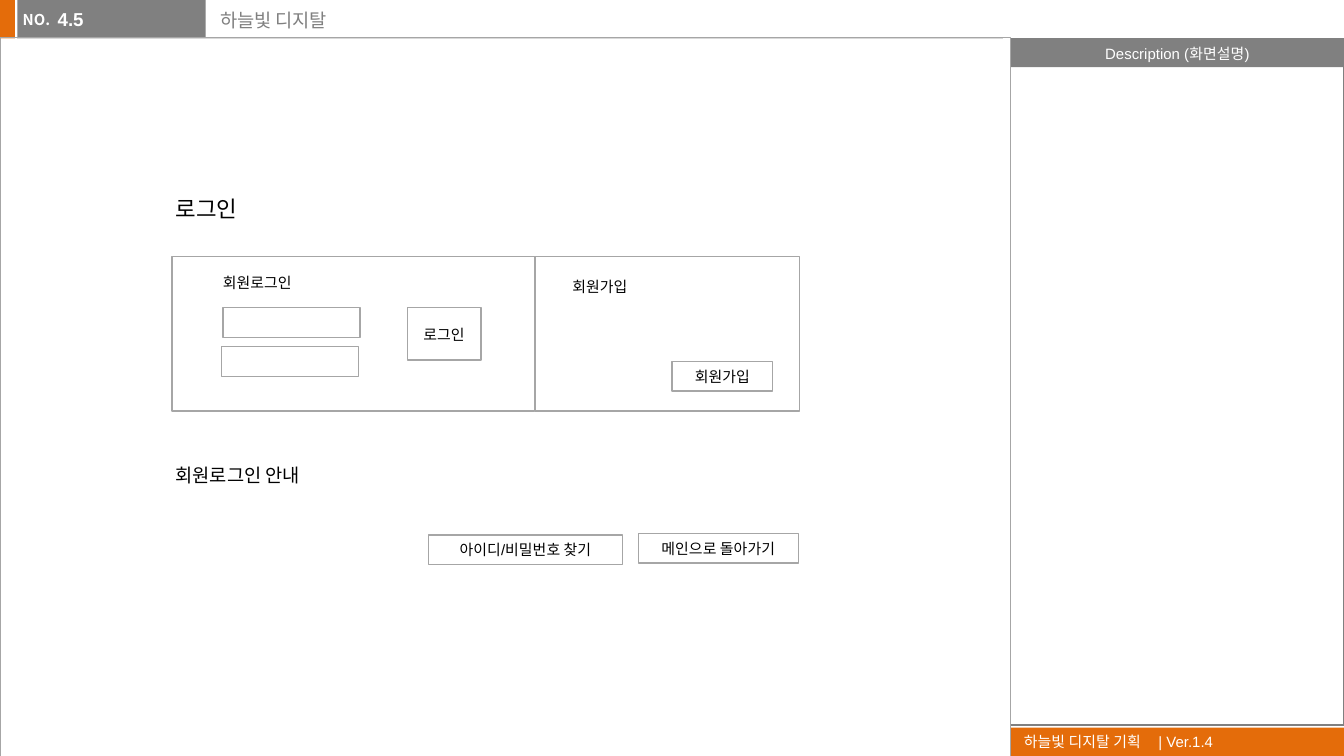
from lxml.etree import SubElement
from pptx import Presentation
from pptx.dml.color import RGBColor
from pptx.enum.shapes import MSO_CONNECTOR, MSO_SHAPE
from pptx.enum.text import MSO_ANCHOR, PP_ALIGN
from pptx.oxml.ns import qn
from pptx.util import Inches, Pt

SLIDE_W = 10
SLIDE_H = SLIDE_W * 9 / 16
ORANGE, GRAY, OUTLINE = "E46C0A", "808080", "A6A6A6"
WHITE, BLACK = "FFFFFF", "000000"
LATIN, KOREAN = "Arial", "Noto Sans CJK KR"
FIELD_H = 0.22


def color(hex_code):
    return RGBColor.from_string(hex_code)


def write(shape, text, size=8, font=LATIN, ink=BLACK, bold=False,
          align=PP_ALIGN.LEFT, wrap=True):
    frame = shape.text_frame
    frame.word_wrap = wrap
    paragraph = frame.paragraphs[0]
    paragraph.text = text
    paragraph.alignment = align
    paragraph.font.size = Pt(size)
    paragraph.font.bold = bold
    paragraph.font.color.rgb = color(ink)
    paragraph.font.name = font
    defaults = paragraph._p.pPr.find(qn("a:defRPr"))
    SubElement(defaults, qn("a:ea"), typeface=KOREAN)
    return frame


def add_label(slide, x, y, w, h, text, wrap=False, **style):
    box = slide.shapes.add_textbox(Inches(x), Inches(y), Inches(w), Inches(h))
    return write(box, text, wrap=wrap, **style)


def add_box(slide, x, y, w, h, fill=None, line=None):
    box = slide.shapes.add_shape(MSO_SHAPE.RECTANGLE, Inches(x), Inches(y), Inches(w), Inches(h))
    box.shadow.inherit = False
    if fill:
        box.fill.solid()
        box.fill.fore_color.rgb = color(fill)
    else:
        box.fill.background()
    if line:
        box.line.color.rgb = color(line)
        box.line.width = Pt(0.75)
    else:
        box.line.fill.background()
    return box


def add_wire(slide, x, y, w, h, text=None):
    """Outlined wireframe box with a 70 % opaque white fill."""
    wire = add_box(slide, x, y, w, h, WHITE, OUTLINE)
    tint = wire._element.spPr.find(qn("a:solidFill"))[0]
    SubElement(tint, qn("a:alpha"), val="70000")
    if text:
        frame = write(wire, text, align=PP_ALIGN.CENTER)
        frame.vertical_anchor = MSO_ANCHOR.MIDDLE


def add_header(slide, x, y, w, h):
    add_box(slide, x - 0.01, y, 0.12, h, ORANGE)
    rule = slide.shapes.add_connector(
        MSO_CONNECTOR.STRAIGHT, Inches(x + 0.13), Inches(y + h), Inches(x + w), Inches(y + h))
    rule.line.color.rgb = color(GRAY)
    rule.line.width = Pt(0.5)
    SubElement(rule._element.spPr, qn("a:effectLst"))
    add_box(slide, x + 0.13, y, 1.4, h, GRAY)
    add_label(slide, x + 0.07, y + 0.03, 0.41, 0.24, "NO.", font=KOREAN, ink=WHITE, bold=True)
    number = add_label(slide, x + 0.43, y + 0.01, 1.1, 0.31, "4.5", wrap=True,
                       size=10, ink=WHITE, bold=True)
    number.margin_left = number.margin_right = 0
    add_label(slide, x + 1.54, y + 0.02, 5.91, 0.32, "하늘빛 디지탈", wrap=True,
              size=10, font=KOREAN, ink=GRAY)


def add_description(slide, x, y, w, h):
    bar_h = 0.21
    heading = write(add_box(slide, x, y, w, bar_h, GRAY), "Description (화면설명)",
                    ink=WHITE, align=PP_ALIGN.CENTER)
    add_box(slide, x, y, w, h - bar_h - 0.02, line=GRAY)
    footer = write(add_box(slide, x, y + h - bar_h, w, bar_h, ORANGE),
                   "하늘빛 디지탈 기획\t| Ver.1.4", ink=WHITE)
    for frame in (heading, footer):
        frame.vertical_anchor = MSO_ANCHOR.MIDDLE
        frame.margin_top = frame.margin_bottom = Inches(0.04)
    properties = footer.paragraphs[0]._p.pPr
    tabs = properties.makeelement(qn("a:tabLst"))
    SubElement(tabs, qn("a:tab"), pos=str(Inches(1)), algn="l")
    properties.find(qn("a:defRPr")).addprevious(tabs)


def add_member_login(slide, x, y, w, h):
    add_wire(slide, x, y, w, h)
    add_wire(slide, x + 0.38, y + 0.38, 1.02, FIELD_H)
    add_wire(slide, x + 0.37, y + 0.67, 1.02, FIELD_H)
    add_wire(slide, x + 1.75, y + 0.38, 0.55, 0.39, "로그인")
    add_label(slide, x + 0.28, y + 0.08, 0.76, 0.24, "회원로그인", font=KOREAN)


def add_sign_up(slide, x, y, w, h):
    add_wire(slide, x, y, w, h)
    add_wire(slide, x + 1.02, y + 0.78, 0.75, FIELD_H, "회원가입")
    add_label(slide, x + 0.18, y + 0.11, 0.65, 0.24, "회원가입", font=KOREAN)


def add_login_guide(slide, x, y):
    add_label(slide, x, y, 1.23, 0.27, "회원로그인 안내", size=10, font=KOREAN)
    add_wire(slide, x + 1.98, y + 0.58, 1.44, FIELD_H, "아이디/비밀번호 찾기")
    add_wire(slide, x + 3.54, y + 0.57, 1.19, FIELD_H, "메인으로 돌아가기")


def add_screen(slide, x, y, w, h):
    add_wire(slide, x, y, w, h)
    add_label(slide, x + 1.21, y + 1.12, 0.71, 0.3, "로그인", size=12, font=KOREAN)
    add_member_login(slide, x + 1.28, y + 1.63, 2.7, 1.15)
    add_sign_up(slide, x + 3.98, y + 1.63, 1.97, 1.15)
    add_login_guide(slide, x + 1.21, y + 3.12)


def main():
    deck = Presentation()
    deck.slide_width, deck.slide_height = Inches(SLIDE_W), Inches(SLIDE_H)
    slide = deck.slides.add_slide(deck.slide_layouts[6])
    screen_w, header_h = 7.52, 0.29
    add_header(slide, 0, 0, 7.46, header_h)
    add_description(slide, screen_w, header_h, SLIDE_W - screen_w, SLIDE_H - header_h)
    add_screen(slide, 0, 0.28, screen_w, 5.35)
    deck.save("out.pptx")


if __name__ == "__main__":
    main()
